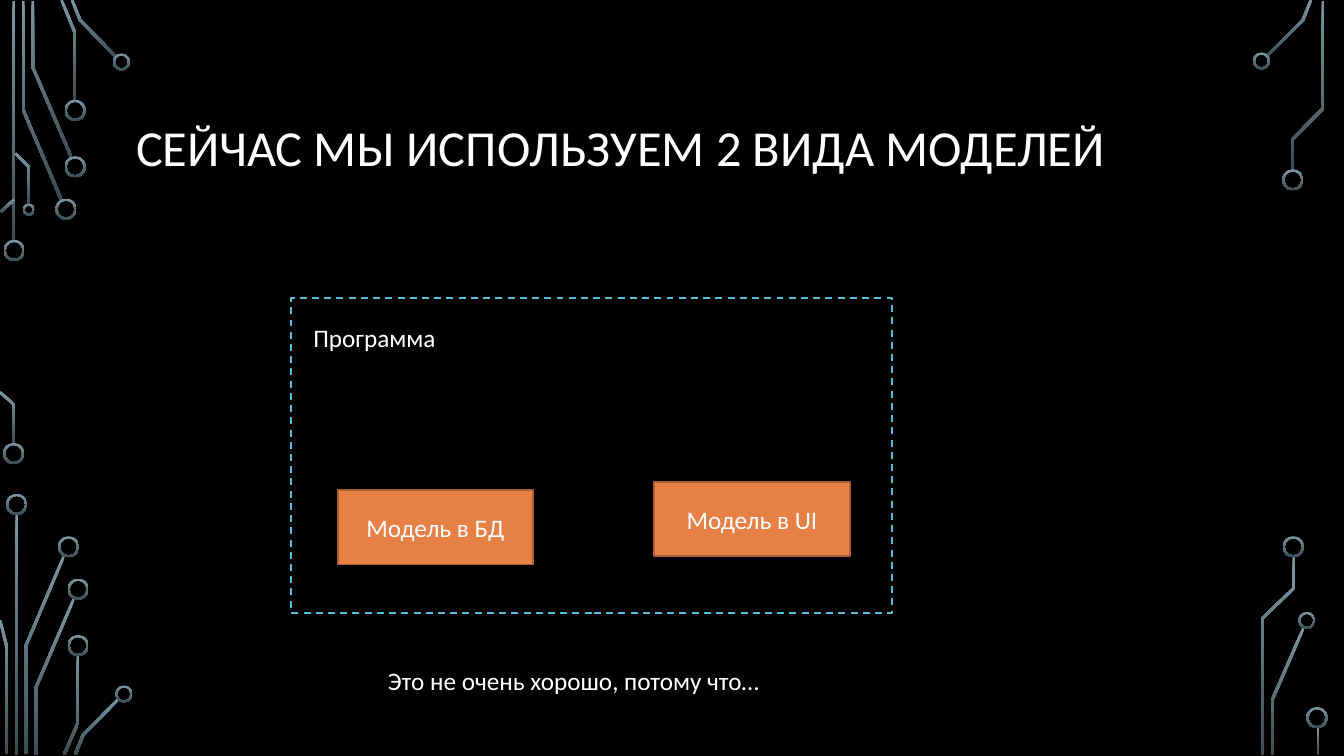
import dataclasses
import itertools

import pptx
import pptx.dml.color
import pptx.enum.dml
import pptx.enum.shapes
import pptx.enum.text
import pptx.util

# The slide is a grid of 133.33 columns by 75 rows of square cells
COLUMNS, ROWS = 133.33, 75
CELLS_PER_INCH = 10


@dataclasses.dataclass(frozen=True)
class Theme:
    background: str = "000000"
    text: str = "FFFFFF"
    box: str = "E78045"
    box_line: str = "AB5F33"
    frame_line: str = "54BCDF"
    circuit_top: str = "7C96A3"
    circuit_bottom: str = "3B4C54"
    font: str = "Calibri"
    title_size: int = 36
    body_size: int = 18
    line_width: float = 1.25
    trace_width: float = 0.27
    ring_width: float = 0.2


THEME = Theme()

# Circuit traces: centre lines as (column, row) points
TRACES = [
    # Top left
    [(1.35, 0.1), (1.35, 24)],
    [(2.3, 0.1), (2.3, 10.9), (6.1, 19.85)],
    [(3.25, 0.1), (3.25, 6.65), (7.1, 15.65)],
    [(6.1, 0), (7.45, 3.3), (7.45, 10)],
    [(7.15, 0), (7.95, 2), (11.55, 5.7)],
    [(0.1, 21), (1.4, 19.8)],
    [(1.5, 15.2), (2.85, 16.55), (2.85, 20.3)],
    # Bottom left
    [(0, 38.9), (1.35, 40.1), (1.35, 44.1)],
    [(1.65, 51), (1.65, 74.9)],
    [(2.55, 74.8), (2.55, 64.1), (6.35, 55.15)],
    [(0, 61.5), (0.65, 64.1), (0.65, 74.8)],
    [(3.55, 74.9), (3.55, 68.25), (7.35, 59.35)],
    [(6.35, 74.9), (7.75, 71.7), (7.75, 65)],
    [(7.45, 74.9), (8.25, 72.9), (11.8, 69.3)],
    # Top right
    [(130.05, 0), (129.25, 2), (125.7, 5.55)],
    [(131.25, 0.1), (131.25, 10.75), (128.2, 13.85), (128.2, 16.9)],
    # Bottom right
    [(126.25, 74.9), (126.25, 69.35), (129.3, 62.35)],
    [(125.25, 74.9), (125.25, 61.35), (128.35, 58.35), (128.35, 55.2)],
    [(130.75, 72.1), (130.75, 74.9)],
]

# Ring centres as (column, row), by diameter
RINGS = {
    2.1: [(1.4, 24.85), (1.35, 45), (6.55, 20.75), (7.45, 16.55),
          (7.45, 10.95), (1.65, 50.05), (6.8, 54.25), (7.75, 58.45),
          (7.75, 64.05), (128.25, 17.85), (128.3, 54.25), (130.65, 71.2)],
    1.7: [(12.05, 6.15), (12.3, 68.85), (125.15, 6.05), (129.65, 61.55)],
    1.2: [(2.85, 20.8)],
}


def cells(count):
    return pptx.util.Inches(count / CELLS_PER_INCH)


def color(code):
    return pptx.dml.color.RGBColor.from_string(code)


def write(frame, text, size=THEME.body_size, align="LEFT", anchor="TOP",
          wrap=True, spacing=1.0):
    frame.word_wrap = wrap
    frame.vertical_anchor = pptx.enum.text.MSO_ANCHOR[anchor]
    para = frame.paragraphs[0]
    para.alignment = pptx.enum.text.PP_ALIGN[align]
    para.line_spacing = spacing
    span = para.add_run()
    span.text = text
    span.font.name = THEME.font
    span.font.size = pptx.util.Pt(size)
    span.font.color.rgb = color(THEME.text)


def paint_circuit(shape):
    shape.shadow.inherit = False
    shape.line.fill.background()
    shape.fill.gradient()
    shape.fill.gradient_angle = 270
    shades = (THEME.circuit_top, THEME.circuit_bottom)
    for stop, shade in zip(shape.fill.gradient_stops, shades):
        stop.color.rgb = color(shade)


def ribbon(points):
    """Outline of a centre line widened to the trace width, with mitred bends."""
    spots = [complex(*point) for point in points]
    normals = [(end - start) / abs(end - start) * 1j
               for start, end in itertools.pairwise(spots)]
    bends = [before + after for before, after
             in zip(normals[:1] + normals, normals + normals[-1:])]
    offsets = [bend * THEME.trace_width / abs(bend) ** 2 for bend in bends]
    one_side = [spot + offset for spot, offset in zip(spots, offsets)]
    other_side = [spot - offset for spot, offset in zip(spots, offsets)]
    return [(cells(spot.real), cells(spot.imag))
            for spot in one_side + other_side[::-1]]


def add_trace(group, points):
    outline = ribbon(points)
    builder = group.shapes.build_freeform(*outline[0])
    builder.add_line_segments(outline[1:], close=True)
    paint_circuit(builder.convert_to_shape())


def add_ring(group, column, row, diameter):
    ring = group.shapes.add_shape(
        pptx.enum.shapes.MSO_SHAPE.DONUT,
        cells(column - diameter / 2), cells(row - diameter / 2),
        cells(diameter), cells(diameter))
    ring.adjustments[0] = THEME.ring_width / diameter
    paint_circuit(ring)


def add_circuit(page):
    group = page.shapes.add_group_shape()
    for points in TRACES:
        add_trace(group, points)
    for diameter, centres in RINGS.items():
        for column, row in centres:
            add_ring(group, column, row, diameter)


def add_box(page, column, row, width, height, line, fill=None, dashed=False):
    box = page.shapes.add_shape(
        pptx.enum.shapes.MSO_SHAPE.RECTANGLE,
        cells(column), cells(row), cells(width), cells(height))
    box.shadow.inherit = False
    box.line.color.rgb = color(line)
    box.line.width = pptx.util.Pt(THEME.line_width)
    if fill:
        box.fill.solid()
        box.fill.fore_color.rgb = color(fill)
    else:
        box.fill.background()
    if dashed:
        box.line.dash_style = pptx.enum.dml.MSO_LINE.DASH
    return box


def add_model(page, text, column, row):
    box = add_box(page, column, row, 19.4, 7.4, THEME.box_line, fill=THEME.box)
    write(box.text_frame, text, align="CENTER", anchor="MIDDLE")


def add_label(page, text, column, row, width):
    label = page.shapes.add_textbox(
        cells(column), cells(row), cells(width), cells(4))
    write(label.text_frame, text, wrap=False)
    label.text_frame.auto_size = pptx.enum.text.MSO_AUTO_SIZE.SHAPE_TO_FIT_TEXT


def set_title(page, text):
    title = page.shapes.title
    title.left, title.top = cells(12.5), cells(6.8)
    title.width, title.height = cells(115), cells(16.2)
    title.text_frame.auto_size = pptx.enum.text.MSO_AUTO_SIZE.NONE
    write(title.text_frame, text, size=THEME.title_size, anchor="MIDDLE",
          spacing=0.9)


def main():
    deck = pptx.Presentation()
    deck.slide_width, deck.slide_height = cells(COLUMNS), cells(ROWS)
    page = deck.slides.add_slide(deck.slide_layouts.get_by_name("Title Only"))
    page.background.fill.solid()
    page.background.fill.fore_color.rgb = color(THEME.background)

    # Circuit decoration and title
    add_circuit(page)
    set_title(page, "СЕЙЧАС МЫ ИСПОЛЬЗУЕМ 2 ВИДА МОДЕЛЕЙ")

    # Program frame with its two models
    add_model(page, "Модель в БД", 33.5, 48.6)
    add_model(page, "Модель в UI", 64.9, 47.8)
    add_box(page, 28.9, 29.6, 59.6, 31.2, THEME.frame_line, dashed=True)
    add_label(page, "Программа", 30.1, 31.5, 16.3)

    # Closing remark
    add_label(page, "Это не очень хорошо, потому что…", 37.5, 65.5, 46.9)

    deck.save("out.pptx")


if __name__ == "__main__":
    main()
